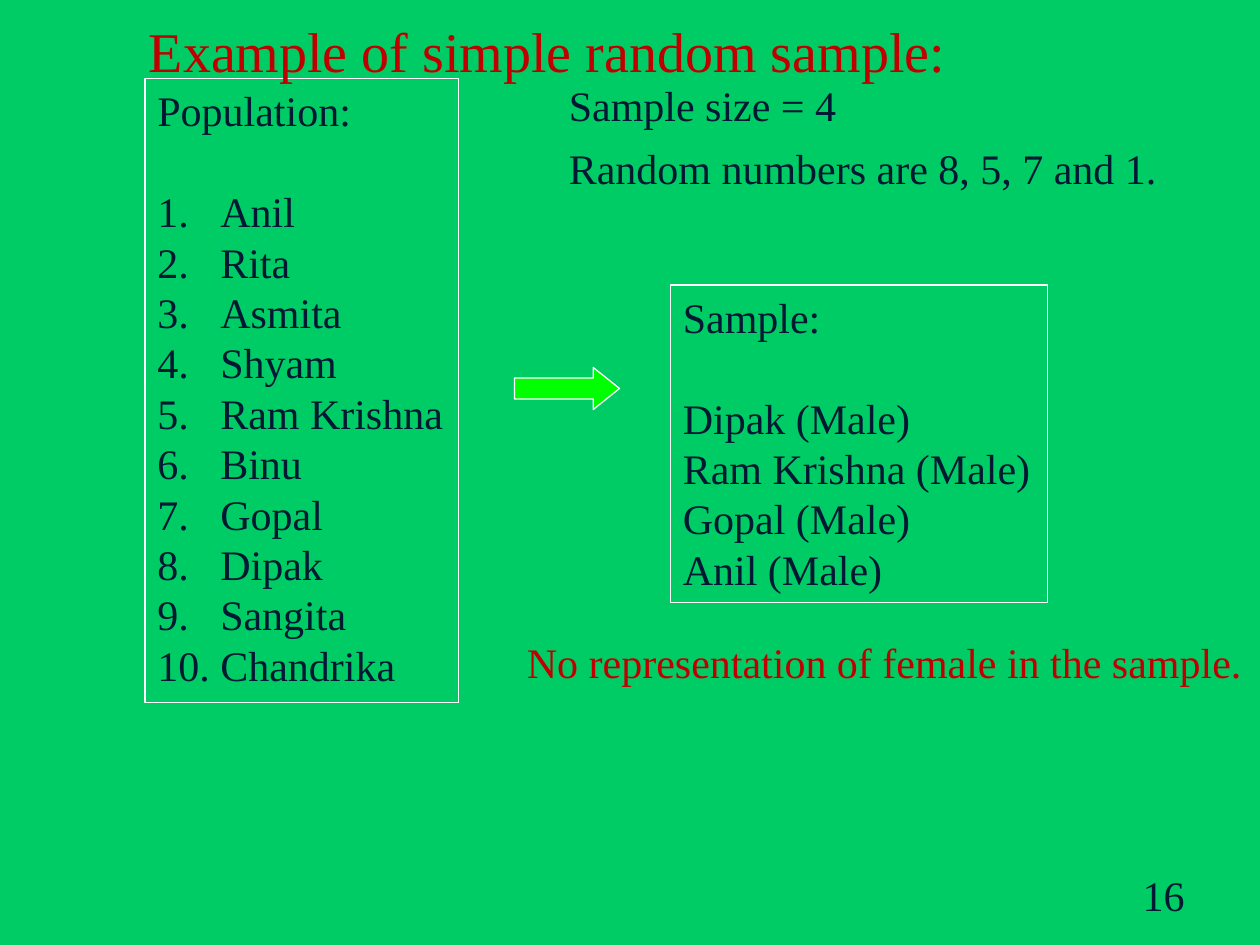
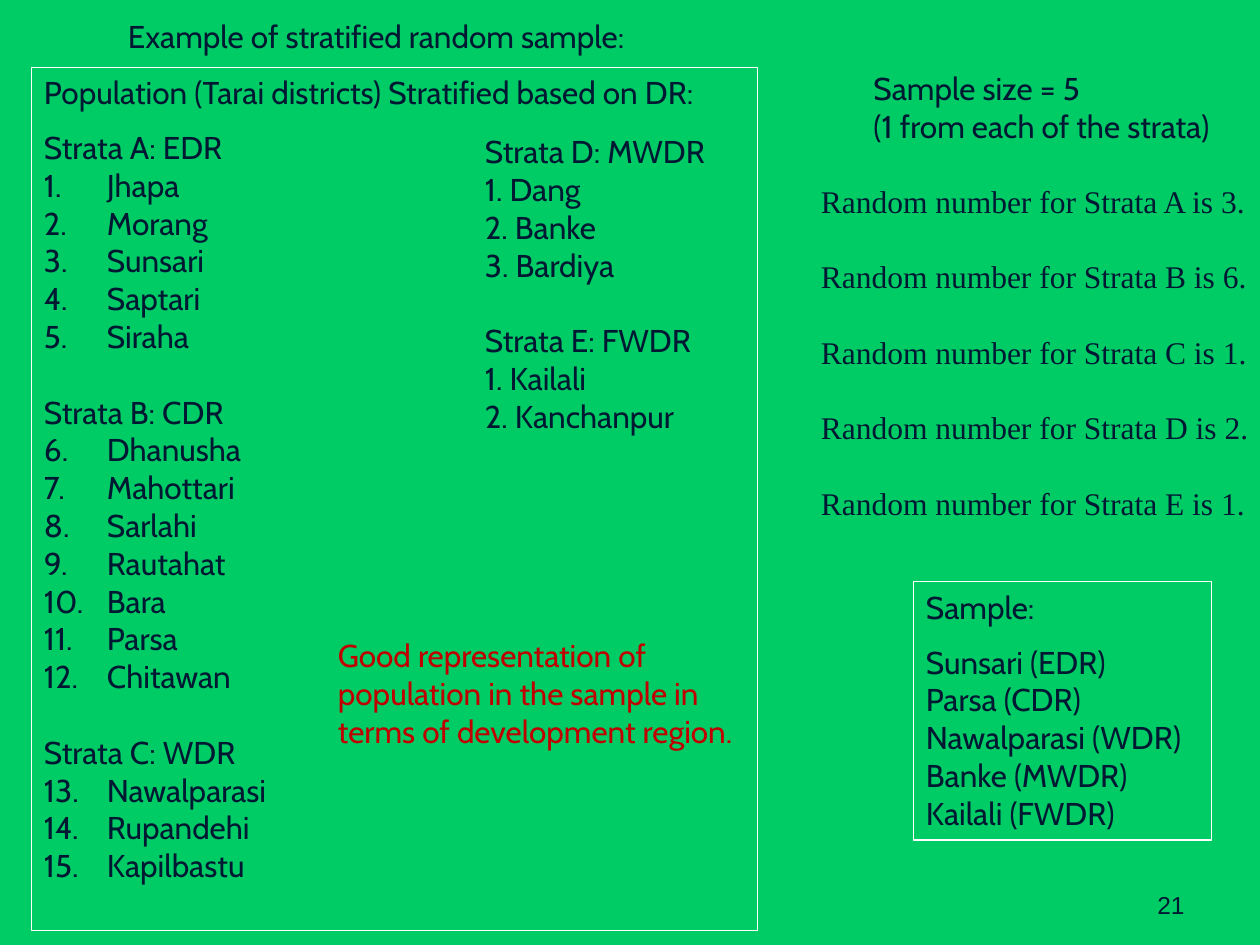
from dataclasses import dataclass

from lxml import etree
from pptx import Presentation
from pptx.dml.color import RGBColor
from pptx.enum.shapes import MSO_SHAPE
from pptx.enum.text import MSO_ANCHOR, PP_ALIGN
from pptx.oxml.ns import qn
from pptx.util import Inches, Pt

GREEN = RGBColor(0x00, 0xCC, 0x66)
NAVY = RGBColor(0x00, 0x19, 0x33)
RED = RGBColor(0xC0, 0x00, 0x00)
LIME = RGBColor(0x00, 0xFF, 0x00)
WHITE = RGBColor(0xFF, 0xFF, 0xFF)

SERIF, SANS, PLAIN = "Times New Roman", "Cabin", "Arial"
LEFT, RIGHT = PP_ALIGN.LEFT, PP_ALIGN.RIGHT
TOP, BOTTOM = MSO_ANCHOR.TOP, MSO_ANCHOR.BOTTOM
RECTANGLE, RIGHT_ARROW = MSO_SHAPE.RECTANGLE, MSO_SHAPE.RIGHT_ARROW

# The slide is a grid of 120 columns and 90 rows.
WIDTH, HEIGHT = Inches(10), Inches(7.5)
COLUMN, ROW = WIDTH / 120, HEIGHT / 90
LINE_PITCH = 1.2
LIST_INDENT = Inches(0.5)
BLANK_LAYOUT = 6


@dataclass(frozen=True)
class Area:
    """A place on the grid, in columns and rows."""
    left: float
    top: float
    width: float
    height: float

    def lengths(self) -> list[int]:
        """Return left, top, width and height as slide lengths."""
        return [int(self.left * COLUMN), int(self.top * ROW),
                int(self.width * COLUMN), int(self.height * ROW)]


@dataclass(frozen=True)
class Style:
    """The look of a text."""
    name: str
    size: float
    color: RGBColor = NAVY


@dataclass(frozen=True)
class Line:
    """One paragraph; gap is the size of the space above, in points."""
    text: str
    gap: float = 0
    number: int = 0


SERIF_BODY = Style(SERIF, 24)
SERIF_TITLE = Style(SERIF, 32, RED)
SERIF_FINDING = Style(SERIF, 24, RED)
SERIF_SMALL = Style(SERIF, 18)
SANS_BODY = Style(SANS, 18)
SANS_FINDING = Style(SANS, 18, RED)
NUMBER_AREA = Area(86, 82, 28, 6.2)


def lines(*texts: str, first_gap: float = 0, gap: float = 0) -> list[Line]:
    """Make plain lines, with a gap above the first and above the others."""
    return [Line(text, gap if index else first_gap) for index, text in enumerate(texts)]


def numbered(*names: str, start: int = 1, gap: float = 0) -> list[Line]:
    """Make a list numbered from start, with a gap above its first line."""
    return [Line(name, 0 if index else gap, start + index) for index, name in enumerate(names)]


def number_paragraph(paragraph, number: int) -> None:
    """Give a paragraph a hanging automatic number."""
    properties = paragraph._p.get_or_add_pPr()
    for key, value in {"marL": LIST_INDENT, "indent": -LIST_INDENT}.items():
        properties.set(key, str(int(value)))
    bullet = etree.SubElement(properties, qn("a:buAutoNum"))
    for key, value in {"type": "arabicPeriod", "startAt": number}.items():
        bullet.set(key, str(value))


def write_lines(shape, content: list[Line], style: Style,
                alignment=LEFT, anchor=TOP) -> None:
    """Fill a shape with lines in one style."""
    frame = shape.text_frame
    frame.word_wrap = True
    frame.vertical_anchor = anchor
    for index, line in enumerate(content):
        paragraph = frame.add_paragraph() if index else frame.paragraphs[0]
        formats = {"alignment": alignment,
                   "line_spacing": Pt(style.size * LINE_PITCH),
                   "space_before": Pt(line.gap * LINE_PITCH)}
        for key, value in formats.items():
            setattr(paragraph, key, value)
        if line.number:
            number_paragraph(paragraph, line.number)
        run = paragraph.add_run()
        run.text = line.text
        for key, value in {"name": style.name, "size": Pt(style.size)}.items():
            setattr(run.font, key, value)
        run.font.color.rgb = style.color


def add_text(slide, area: Area, content: list[Line], style: Style,
             alignment=LEFT, anchor=TOP) -> None:
    """Add a text box."""
    box = slide.shapes.add_textbox(*area.lengths())
    write_lines(box, content, style, alignment, anchor)


def add_outlined(slide, kind, area: Area):
    """Add an unfilled shape with a thin white outline."""
    shape = slide.shapes.add_shape(kind, *area.lengths())
    shape.shadow.inherit = False
    shape.fill.background()
    shape.line.color.rgb = WHITE
    shape.line.width = Pt(0.75)
    return shape


def add_panel(slide, area: Area, content: list[Line], style: Style) -> None:
    """Add an outlined rectangle that holds lines."""
    write_lines(add_outlined(slide, RECTANGLE, area), content, style)


def add_arrow(slide, area: Area) -> None:
    """Add the lime arrow from population to sample."""
    arrow = add_outlined(slide, RIGHT_ARROW, area)
    arrow.fill.solid()
    arrow.fill.fore_color.rgb = LIME
    arrow.adjustments[1] = 0.625


def new_slide(presentation, number: int, style: Style):
    """Add a blank slide with its number at the lower right."""
    slide = presentation.slides.add_slide(presentation.slide_layouts[BLANK_LAYOUT])
    add_text(slide, NUMBER_AREA, lines(str(number)), style, RIGHT, BOTTOM)
    return slide


def build_simple_sample(presentation) -> None:
    """Build the simple random sample slide."""
    slide = new_slide(presentation, 16, SERIF_BODY)
    people = numbered("Anil", "Rita", "Asmita", "Shyam", "Ram Krishna", "Binu",
                      "Gopal", "Dipak", "Sangita", "Chandrika", gap=24)
    add_panel(slide, Area(13.8, 7.5, 29.9, 59.4), lines("Population:") + people, SERIF_BODY)
    facts = ("Sample size = 4", "Random numbers are 8, 5, 7 and 1.")
    for index, fact in enumerate(facts):
        add_text(slide, Area(53, 7 + 6 * index, 59, 6), lines(fact), SERIF_BODY)
    add_arrow(slide, Area(49, 35, 10, 4))
    chosen = lines("Dipak (Male)", "Ram Krishna (Male)", "Gopal (Male)", "Anil (Male)",
                   first_gap=24)
    add_panel(slide, Area(63.85, 27.15, 35.9, 30.25), lines("Sample:") + chosen, SERIF_BODY)
    add_text(slide, Area(49, 60, 71, 6),
             lines("No representation of female in the sample."), SERIF_FINDING)
    add_text(slide, Area(13, 1, 79, 7.7),
             lines("Example of simple random sample:"), SERIF_TITLE)


def build_stratified_sample(presentation) -> None:
    """Build the stratified random sample slide."""
    slide = new_slide(presentation, 21, Style(PLAIN, 14))
    add_text(slide, Area(11, 1, 52, 4.8),
             lines("Example of stratified random sample:"), SANS_BODY)
    strata = [
        *lines("Population (Tarai districts) Stratified based on DR:", "Strata A: EDR", gap=8),
        *numbered("Jhapa", "Morang", "Sunsari", "Saptari", "Siraha"),
        *lines("Strata B: CDR", first_gap=18),
        *numbered("Dhanusha", "Mahottari", "Sarlahi", "Rautahat", "Bara", "Parsa",
                  "Chitawan", start=6),
        *lines("Strata C: WDR", first_gap=18),
        *numbered("Nawalparasi", "Rupandehi", "Kapilbastu", start=13),
    ]
    add_panel(slide, Area(3, 6.4, 69.15, 82.2), strata, SANS_BODY)
    add_text(slide, Area(82, 6, 37.8, 8.4),
             lines("Sample size = 5", "(1 from each of the strata)"), SANS_BODY)
    draws = [f"Random number for Strata {stratum} is {draw}."
             for stratum, draw in zip("ABCDE", (3, 6, 1, 2, 1))]
    add_text(slide, Area(77, 16.7, 43.6, 34), lines(*draws, gap=18), SERIF_SMALL)
    chosen = lines("Sunsari (EDR)", "Parsa (CDR)", "Nawalparasi (WDR)", "Banke (MWDR)",
                   "Kailali (FWDR)", first_gap=8)
    add_panel(slide, Area(87, 55.4, 28.4, 24.6), lines("Sample:") + chosen, SANS_BODY)
    western = (lines("Strata D: MWDR", "1. Dang", "2. Banke", "3. Bardiya")
               + lines("Strata E: FWDR", "1. Kailali", "2. Kanchanpur", first_gap=18))
    add_text(slide, Area(45, 12, 26, 30), western, SANS_BODY)
    add_text(slide, Area(31, 60, 42, 12),
             lines("Good representation of", "population in the sample in",
                   "terms of development region."), SANS_FINDING)


def main() -> None:
    """Build and save the presentation."""
    presentation = Presentation()
    presentation.slide_width, presentation.slide_height = WIDTH, HEIGHT
    background = presentation.slide_master.background.fill
    background.solid()
    background.fore_color.rgb = GREEN
    build_simple_sample(presentation)
    build_stratified_sample(presentation)
    presentation.save("out.pptx")


main()
